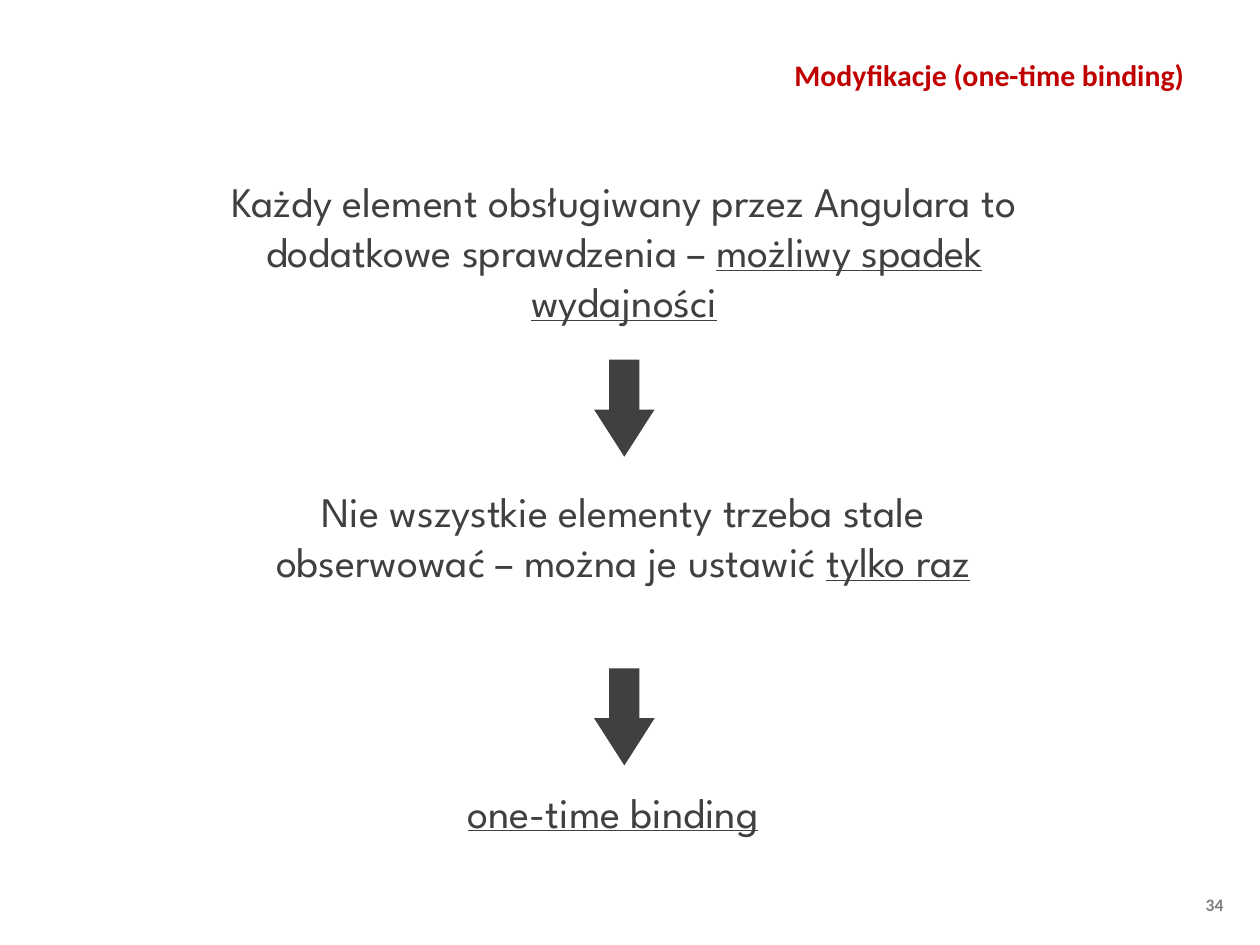
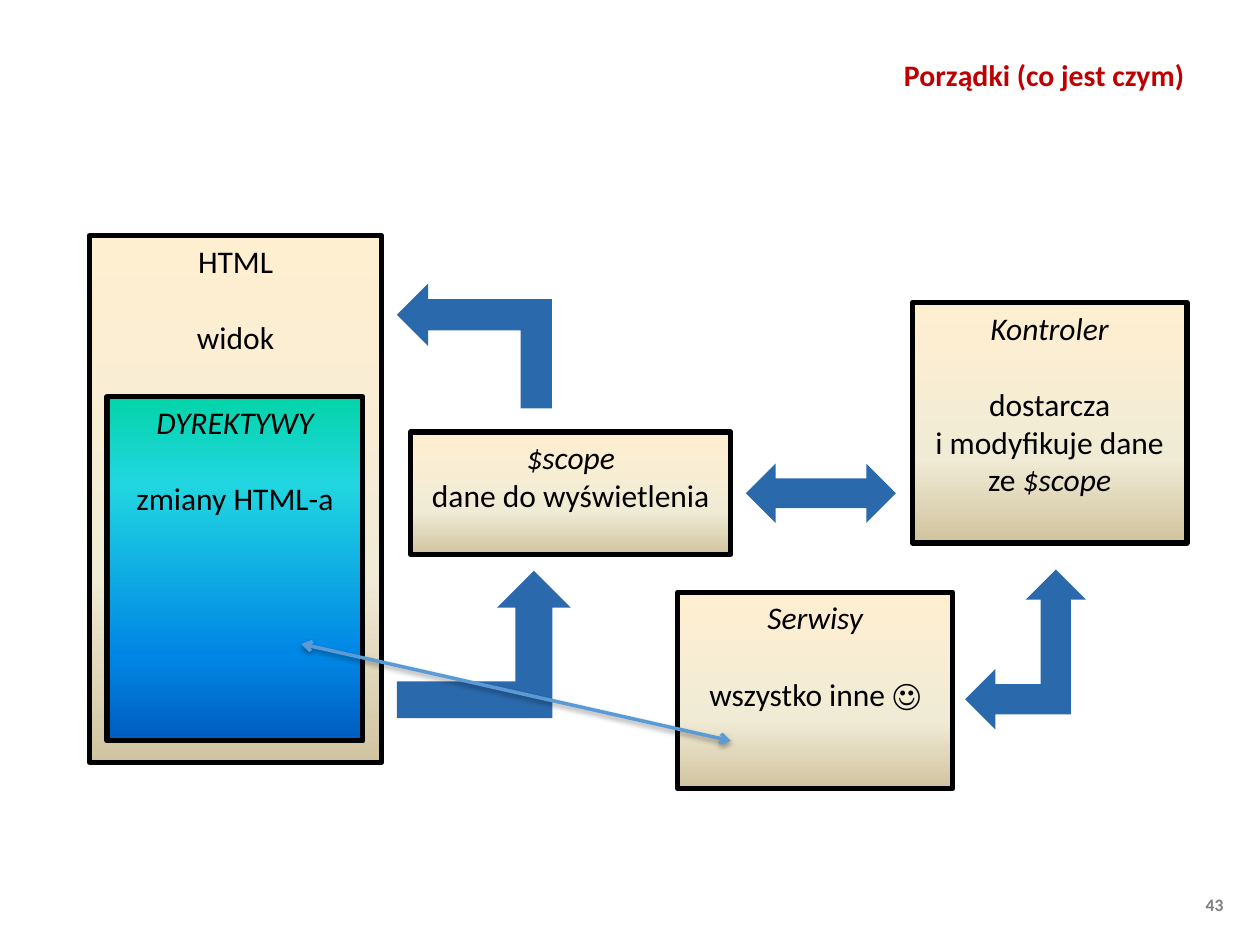
from dataclasses import dataclass
from typing import Any, NamedTuple

from lxml.etree import SubElement
from pptx import Presentation
from pptx.dml.color import RGBColor
from pptx.enum.shapes import MSO_CONNECTOR as Link, MSO_SHAPE as Kind
from pptx.enum.text import MSO_ANCHOR as Anchor, MSO_AUTO_SIZE as Fit, PP_ALIGN as Align
from pptx.oxml.ns import qn
from pptx.util import Emu, Inches, Pt

WIDE, HIGH = Inches(10), Inches(7.5)
COLS, ROWS = 100, 75

RED, GRAY, DARK, BLACK = "C00000", "7F7F7F", "404040", "000000"
BLUE, SKY = "2B69AD", "5B9BD5"
SAND = [(0, "FFEFD1"), (65, "F0EBD5"), (100, "D1C39F")]
OCEAN = [(0, "03D4A8"), (25, "21D6E0"), (75, "0087E6"), (100, "005CBF")]

HEAD = dict(name="Calibri", size=Pt(17), bold=True)
PAGE = dict(name="Calibri", size=Pt(10), bold=True)
STEP = dict(name="League Spartan", size=Pt(24))
BODY = dict(name="Calibri", size=Pt(18))
UNDER, SLANT = dict(underline=True), dict(italic=True)
GAP = Pt(22)  # one line of body text


class Area(NamedTuple):
    """Left, top, width and height in columns and rows."""
    x: float
    y: float
    w: float
    h: float


class Run(NamedTuple):
    text: str
    look: dict = {}


class Line(NamedTuple):
    runs: list[Run]
    gap: int = 0


@dataclass
class Card:
    area: Area
    lines: list[Line]
    tones: list[tuple[int, str]]


@dataclass
class Arrow:
    kind: Kind
    area: Area
    tone: str = BLUE
    turn: int = 0
    bends: tuple[float, ...] = ()


def color(code: str) -> RGBColor:
    return RGBColor.from_string(code)


def col(n: float) -> Emu:
    return Emu(round(WIDE * n / COLS))


def row(n: float) -> Emu:
    return Emu(round(HIGH * n / ROWS))


def box(area: Area) -> tuple[Emu, Emu, Emu, Emu]:
    return col(area.x), row(area.y), col(area.w), row(area.h)


def style(item: Any, look: dict) -> None:
    for key, value in look.items():
        setattr(item, key, value)


def write(frame: Any, lines: list[Line], look: dict, tone: str, align: Align = Align.CENTER) -> None:
    frame.word_wrap = True
    for i, line in enumerate(lines):
        para = frame.add_paragraph() if i else frame.paragraphs[0]
        style(para, dict(alignment=align, space_before=line.gap))
        for text, extra in line.runs:
            run = para.add_run()
            run.text = text
            style(run.font, look | extra)
            run.font.color.rgb = color(tone)


def label(slide: Any, area: Area, runs: list[Run], look: dict, tone: str) -> None:
    frame = slide.shapes.add_textbox(*box(area)).text_frame
    write(frame, [Line(runs)], look, tone)
    frame.auto_size = Fit.SHAPE_TO_FIT_TEXT


def start(deck: Any, title: str, page: int) -> Any:
    """Add a slide with its title and page number."""
    slide = deck.slides.add_slide(deck.slide_layouts[5])
    head = slide.shapes.title
    style(head, dict(zip(("left", "top", "width", "height"), box(Area(23.9, 2.1, 71.1, 7.6)))))
    head.text_frame.vertical_anchor = Anchor.MIDDLE
    write(head.text_frame, [Line([Run(title)])], HEAD, RED, Align.RIGHT)
    label(slide, Area(93.1, 70.5, 6.6, 2.7), [Run(str(page))], PAGE, GRAY)
    return slide


def shade(shape: Any, tones: list[tuple[int, str]]) -> None:
    """Fill from top to bottom through all the tones."""
    shape.fill.gradient()
    shape.fill.gradient_angle = 270
    stops = shape._element.spPr.find(qn("a:gradFill")).find(qn("a:gsLst"))
    stops.clear()
    for share, tone in tones:
        stop = SubElement(stops, qn("a:gs"), pos=str(share * 1000))
        SubElement(stop, qn("a:srgbClr"), val=tone)


def draw_card(slide: Any, card: Card) -> None:
    shape = slide.shapes.add_shape(Kind.RECTANGLE, *box(card.area))
    shape.shadow.inherit = False
    shade(shape, card.tones)
    shape.line.color.rgb = color(BLACK)
    shape.line.width = Pt(3)
    shape.text_frame.vertical_anchor = Anchor.TOP
    write(shape.text_frame, card.lines, BODY, BLACK)


def draw_arrow(slide: Any, arrow: Arrow) -> None:
    shape = slide.shapes.add_shape(arrow.kind, *box(arrow.area))
    shape.shadow.inherit = False
    shape.rotation = arrow.turn
    for i, bend in enumerate(arrow.bends):
        shape.adjustments[i] = bend
    shape.fill.solid()
    shape.fill.fore_color.rgb = color(arrow.tone)
    shape.line.fill.background()


def draw_link(slide: Any, x1: float, y1: float, x2: float, y2: float) -> None:
    """Draw a two-headed line with a soft shadow below."""
    link = slide.shapes.add_connector(Link.STRAIGHT, col(x1), row(y1), col(x2), row(y2))
    link.line.color.rgb = color(SKY)
    link.line.width = Pt(2)
    for end in ("a:headEnd", "a:tailEnd"):
        SubElement(link.line._ln, qn(end), type="arrow")
    effect = SubElement(link._element.spPr, qn("a:effectLst"))
    cast = SubElement(effect, qn("a:outerShdw"), blurRad=str(Pt(3.1)), dist=str(Pt(1.6)),
                      dir="5400000", rotWithShape="0")
    tone = SubElement(cast, qn("a:srgbClr"), val=BLACK)
    SubElement(tone, qn("a:alpha"), val="38000")


def binding(deck: Any) -> None:
    slide = start(deck, "Modyfikacje (one-time binding)", 34)
    steps = [
        (Area(14.9, 13.4, 69.3, 13.1), [
            Run("Każdy element obsługiwany przez Angulara to dodatkowe sprawdzenia – "),
            Run("możliwy spadek wydajności", UNDER)]),
        (Area(17.7, 38, 63.5, 13.1), [
            Run("Nie wszystkie elementy trzeba stale obserwować – można je ustawić "),
            Run("tylko raz", UNDER)]),
        (Area(16.9, 61.9, 63.5, 5), [Run("one-time binding", UNDER)]),
    ]
    for area, runs in steps:
        label(slide, area, runs, STEP, DARK)
    for i in range(len(steps) - 1):
        area = Area(45.7, 30 + 24.5 * i, 7.7, 4.8)
        draw_arrow(slide, Arrow(Kind.RIGHT_ARROW, area, DARK, 90, (0.5, 0.78)))


def order(deck: Any) -> None:
    slide = start(deck, "Porządki (co jest czym)", 43)
    cards = [
        Card(Area(7.1, 18.7, 23.2, 41.8),
             [Line([Run("HTML")]), Line([Run("widok")], GAP)], SAND),
        Card(Area(8.5, 31.5, 20.3, 27.3),
             [Line([Run("DYREKTYWY", SLANT)]), Line([Run("zmiany HTML-a")], GAP)], OCEAN),
        Card(Area(32.6, 34.3, 25.4, 9.7),
             [Line([Run("$scope", SLANT)]), Line([Run("dane do wyświetlenia")])], SAND),
        Card(Area(72.4, 24, 21.8, 19.1),
             [Line([Run("Kontroler", SLANT)]), Line([Run("dostarcza")], GAP),
              Line([Run("i modyfikuje dane ze "), Run("$scope", SLANT)])], SAND),
        Card(Area(53.8, 47, 21.8, 15.6),
             [Line([Run("Serwisy", SLANT)]), Line([Run("wszystko inne ☺")], GAP)], SAND),
    ]
    arrows = [
        Arrow(Kind.BENT_UP_ARROW, Area(32.7, 21.3, 9.9, 12.3), turn=270),
        Arrow(Kind.BENT_UP_ARROW, Area(31.5, 45.3, 13.8, 11.7)),
        Arrow(Kind.LEFT_RIGHT_ARROW, Area(59.2, 36.8, 11.9, 4.7)),
        Arrow(Kind.LEFT_UP_ARROW, Area(76.6, 45.2, 9.6, 12.7)),
    ]
    for card in cards:
        draw_card(slide, card)
    for arrow in arrows:
        draw_arrow(slide, arrow)
    draw_link(slide, 23.9, 51.1, 58, 58.8)


def main() -> None:
    deck = Presentation()
    style(deck, dict(slide_width=WIDE, slide_height=HIGH))
    binding(deck)
    order(deck)
    deck.save("out.pptx")


if __name__ == "__main__":
    main()
